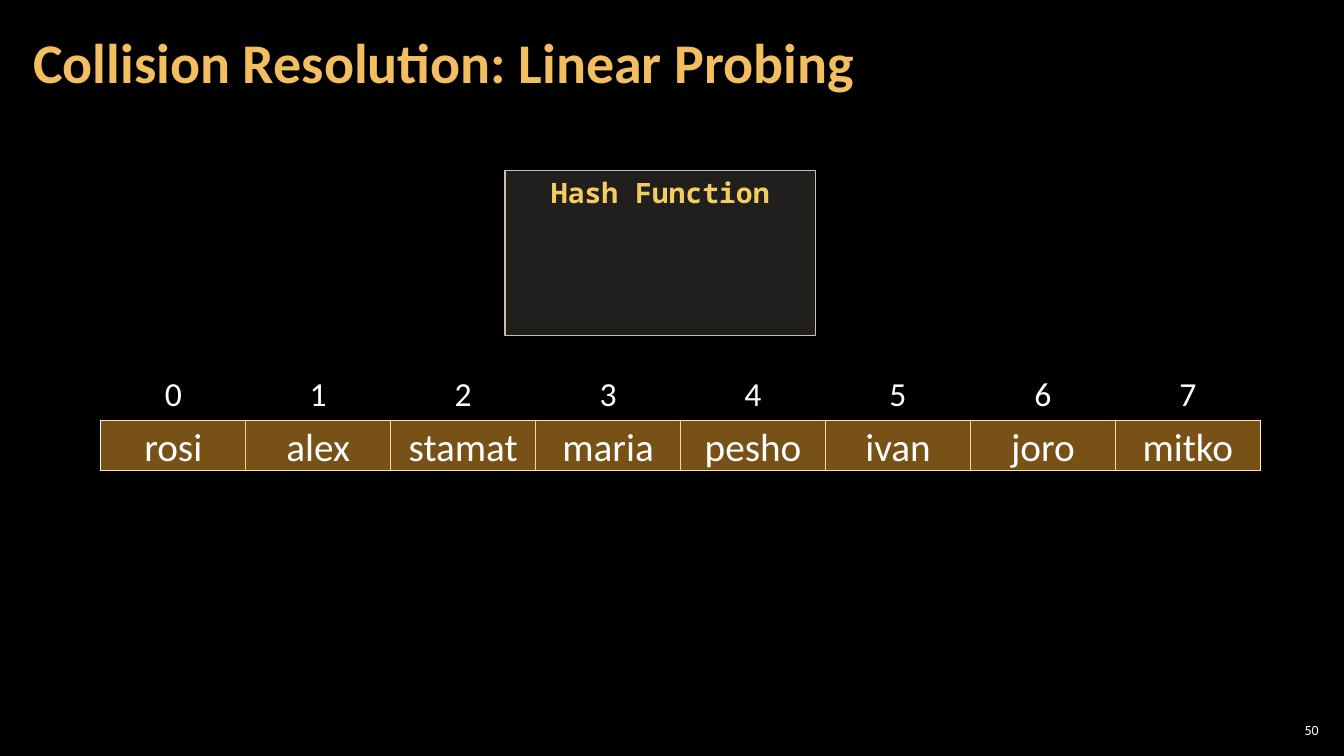
import pptx
import pptx.dml.color
import pptx.enum.shapes
import pptx.enum.text
import pptx.oxml
import pptx.oxml.ns
import pptx.util
from pptx.dml.color import RGBColor
from pptx.enum.text import MSO_ANCHOR, PP_ALIGN
from pptx.util import Inches

BLACK = RGBColor(0x00, 0x00, 0x00)
WHITE = RGBColor(0xFF, 0xFF, 0xFF)
TITLE_GOLD = RGBColor(0xF3, 0xBE, 0x60)
LABEL_GOLD = RGBColor(0xF3, 0xCD, 0x60)
ENTRY_ORANGE = RGBColor(0xF0, 0xA2, 0x2E)
PANEL_BEIGE = RGBColor(0xD9, 0xD5, 0xC7)
PANEL_EDGE = RGBColor(0xC7, 0xBF, 0xAC)

ENTRIES = ["rosi", "alex", "stamat", "maria", "pesho", "ivan", "joro", "mitko"]


def write_text(frame, text, size, color, align, font_name="Calibri", bold=False):
    """Write one uniformly formatted paragraph into a text frame."""
    frame.text = text
    paragraph = frame.paragraphs[0]
    paragraph.alignment = align
    font = paragraph.font
    font.name, font.size, font.bold = font_name, pptx.util.Pt(size), bold
    font.color.rgb = color
    return paragraph


def set_margins(frame, horizontal, vertical):
    """Set equal side margins and equal top and bottom margins."""
    frame.margin_left = frame.margin_right = Inches(horizontal)
    frame.margin_top = frame.margin_bottom = Inches(vertical)


def fill_translucent(shape, color, percent):
    """Give a shape a flat fill with the given opacity and no shadow."""
    shape.shadow.inherit = False
    shape.fill.solid()
    shape.fill.fore_color.rgb = color
    color_element = shape._element.spPr.find(".//" + pptx.oxml.ns.qn("a:srgbClr"))
    alpha = pptx.oxml.parse_xml(
        f'<a:alpha {pptx.oxml.ns.nsdecls("a")} val="{percent * 1000}"/>')
    color_element.append(alpha)


def set_borders(cell, visible_sides):
    """Draw white borders on the named sides of a cell and clear the others."""
    properties = cell._tc.get_or_add_tcPr()
    for position, side in enumerate("LRTB"):
        paint = "<a:noFill/>"
        if side in visible_sides:
            paint = f'<a:solidFill><a:srgbClr val="{WHITE}"/></a:solidFill>'
        properties.insert(position, pptx.oxml.parse_xml(
            f'<a:ln{side} {pptx.oxml.ns.nsdecls("a")} w="12700">{paint}</a:ln{side}>'))


def add_title(slide, left, top, width, height):
    """Place and format the slide title."""
    title = slide.shapes.title
    title.left, title.top = Inches(left), Inches(top)
    title.width, title.height = Inches(width), Inches(height)
    frame = title.text_frame
    frame.vertical_anchor = MSO_ANCHOR.MIDDLE
    set_margins(frame, 0.12, 0.04)
    paragraph = write_text(frame, "Collision Resolution: Linear Probing", 40,
                           TITLE_GOLD, PP_ALIGN.LEFT, bold=True)
    paragraph.line_spacing = 0.9


def add_hash_function(slide, left, top, width, height):
    """Draw the hash function panel with its label along the top."""
    group = slide.shapes.add_group_shape()
    panel = group.shapes.add_shape(
        pptx.enum.shapes.MSO_SHAPE.RECTANGLE,
        Inches(left), Inches(top), Inches(width), Inches(height))
    fill_translucent(panel, PANEL_BEIGE, 15)
    panel.line.color.rgb = PANEL_EDGE
    panel.line.width = pptx.util.Pt(1)
    label = group.shapes.add_textbox(
        Inches(left), Inches(top), Inches(width), Inches(0.44))
    label.text_frame.word_wrap = True
    write_text(label.text_frame, "Hash Function", 20, LABEL_GOLD,
               PP_ALIGN.CENTER, "Noto Sans Mono", True)


def add_hash_table(slide, left, top, width, height):
    """Draw the indexed slots and lay one entry over each slot."""
    row_height = height / 2
    slot_width = width / len(ENTRIES)
    table = slide.shapes.add_table(
        2, len(ENTRIES), Inches(left), Inches(top), Inches(width), Inches(height)).table
    table.first_row = table.horz_banding = False
    for index, entry in enumerate(ENTRIES):
        table.columns[index].width = Inches(slot_width)
        for row, sides in enumerate(("B", "LRTB")):
            cell = table.cell(row, index)
            cell.fill.background()
            cell.vertical_anchor = MSO_ANCHOR.MIDDLE
            set_margins(cell, 0.1, 0.04)
            set_borders(cell, sides)
        write_text(table.cell(0, index).text_frame, str(index), 24, WHITE, PP_ALIGN.CENTER)
        box = slide.shapes.add_shape(
            pptx.enum.shapes.MSO_SHAPE.FLOWCHART_PROCESS,
            Inches(left + index * slot_width), Inches(top + row_height),
            Inches(slot_width), Inches(row_height))
        fill_translucent(box, ENTRY_ORANGE, 50)
        box.line.fill.background()
        box.text_frame.vertical_anchor = MSO_ANCHOR.MIDDLE
        write_text(box.text_frame, entry, 28, WHITE, PP_ALIGN.CENTER)


def add_slide_number(slide, left, top, width, height):
    """Place the slide number in the corner."""
    box = slide.shapes.add_textbox(
        Inches(left), Inches(top), Inches(width), Inches(height))
    frame = box.text_frame
    frame.word_wrap = True
    frame.vertical_anchor = MSO_ANCHOR.MIDDLE
    set_margins(frame, 0.04, 0.04)
    write_text(frame, "50", 10, WHITE, PP_ALIGN.RIGHT)


def main():
    """Build and save the presentation."""
    presentation = pptx.Presentation()
    presentation.slide_width = Inches(13.33)
    presentation.slide_height = Inches(7.5)
    slide = presentation.slides.add_slide(presentation.slide_layouts[5])
    slide.background.fill.solid()
    slide.background.fill.fore_color.rgb = BLACK
    add_title(slide, 0.21, 0.04, 10.47, 1.21)
    add_hash_function(slide, 5.01, 1.69, 3.08, 1.64)
    add_hash_table(slide, 1, 3.67, 11.5, 1)
    add_slide_number(slide, 12.65, 7.14, 0.47, 0.21)
    presentation.save("out.pptx")


if __name__ == "__main__":
    main()
